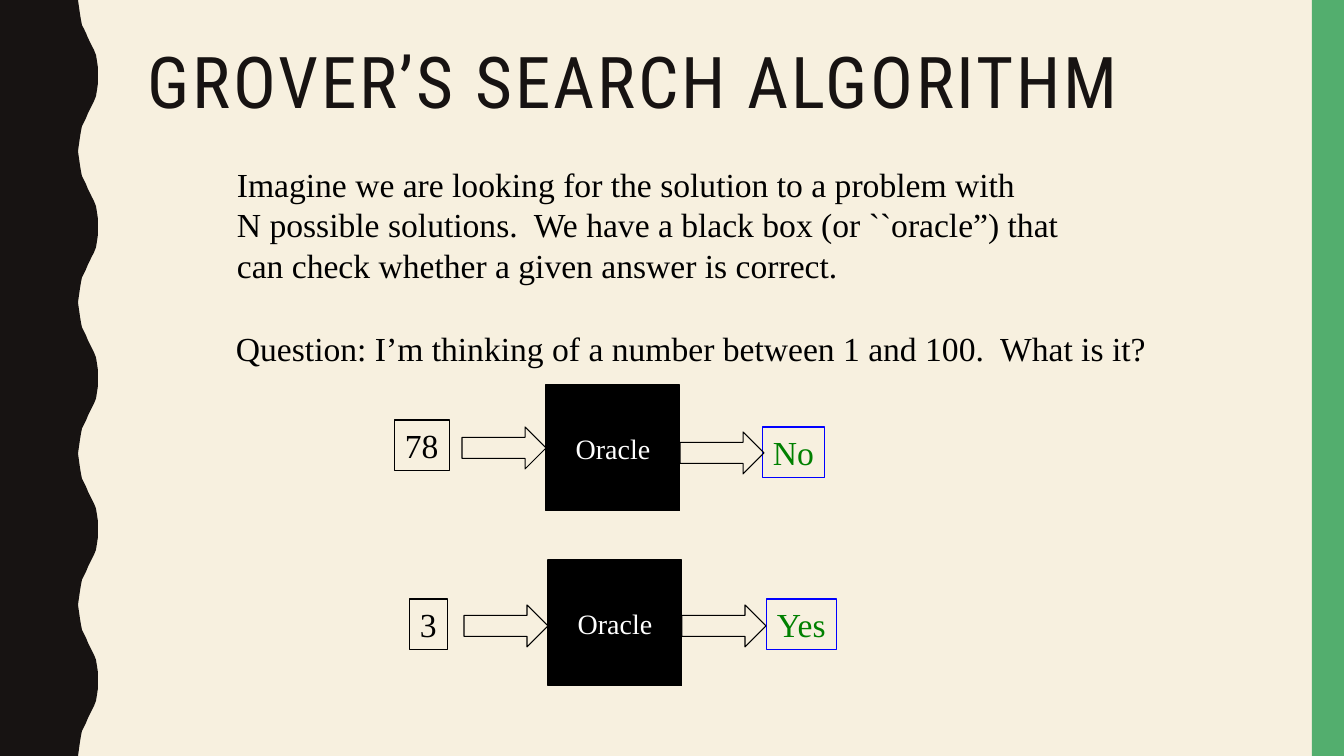
import pptx
import pptx.dml.color
import pptx.enum.shapes
import pptx.enum.text
import pptx.util

EMU_PER_PX = 914400 / 100.8
WIDTH, HEIGHT = 1344, 756
COLORS = {
    "cream": "F7F0DF", "ink": "171312", "green_band": "53AE6E",
    "black": "000000", "white": "FFFFFF", "blue": "0000FF", "answer": "008000",
}
SERIF = "Times New Roman"
SHAPES = pptx.enum.shapes.MSO_SHAPE
WAVE_COUNT = 5
# Right edge of the dark band from a trough to the next crest
HALF_WAVE = [(78, 0), (79, 7), (80, 14), (81, 20), (82, 25), (84, 29), (86, 33),
             (88, 38), (90, 42), (92, 46), (94, 50), (96, 55), (97, 61), (98, 68)]


def px(length):
    return pptx.util.Emu(round(length * EMU_PER_PX))


def rgb(name):
    return pptx.dml.color.RGBColor.from_string(COLORS[name])


def style(shape, fill=None, line=None):
    shape.shadow.inherit = False
    if fill:
        shape.fill.solid()
        shape.fill.fore_color.rgb = rgb(fill)
    else:
        shape.fill.background()
    if line:
        shape.line.color.rgb = rgb(line)
        shape.line.width = pptx.util.Pt(0.75)
    else:
        shape.line.fill.background()


def add_block(slide, kind, box, fill=None, line=None):
    shape = slide.shapes.add_shape(kind, *map(px, box))
    style(shape, fill, line)
    return shape


def write(shape, lines, size, color, font=SERIF, centered=False, wrap=False):
    """Fill a shape with one paragraph per line and return the paragraphs."""
    frame = shape.text_frame
    frame.word_wrap = wrap
    anchors = pptx.enum.text.MSO_ANCHOR
    frame.vertical_anchor = anchors.MIDDLE if centered else anchors.TOP
    alignments = pptx.enum.text.PP_ALIGN
    for index, line in enumerate(lines):
        paragraph = frame.add_paragraph() if index else frame.paragraphs[0]
        paragraph.alignment = alignments.CENTER if centered else alignments.LEFT
        run = paragraph.add_run()
        run.text = line
        run.font.name = font
        run.font.size = pptx.util.Pt(size)
        run.font.color.rgb = rgb(color)
    return frame.paragraphs


def add_background(slide):
    slide.background.fill.solid()
    slide.background.fill.fore_color.rgb = rgb("cream")

    period = HEIGHT / WAVE_COUNT
    crest = (98, period / 2)
    falling = [(x, period - y) for x, y in reversed(HALF_WAVE)]
    wave = HALF_WAVE + [crest] + falling
    edge = [(x, y + period * number) for number in range(WAVE_COUNT) for x, y in wave]
    builder = slide.shapes.build_freeform(0, 0)
    builder.add_line_segments([(px(x), px(y)) for x, y in edge + [(0, HEIGHT)]])
    style(builder.convert_to_shape(), "ink")

    add_block(slide, SHAPES.RECTANGLE, (1312, 0, WIDTH - 1312, HEIGHT), "green_band")


def add_title(slide, box, text):
    title = slide.shapes.add_textbox(*map(px, box))
    paragraph = write(title, [text], 51, "ink", "Roboto Condensed", wrap=True)[0]
    paragraph.line_spacing = 0.9
    paragraph.runs[0].font._element.set("spc", "200")


def add_text(slide, box, lines):
    write(slide.shapes.add_textbox(*map(px, box)), lines, 24, "black")


def add_oracle_query(slide, left, top, guess, guess_box, reply, reply_box, arrow_tops):
    """Draw guess, oracle and reply; boxes are (x, y, width) from the oracle's corner."""
    oracle_width, oracle_height = 134, 126
    arrow_width, arrow_height = 84, 42
    oracle = add_block(slide, SHAPES.RECTANGLE, (left, top, oracle_width, oracle_height),
                       "black", "black")
    write(oracle, ["Oracle"], 20, "white", centered=True)

    for text, (x, y, width), line, color in (
            (guess, guess_box, "black", "black"), (reply, reply_box, "blue", "answer")):
        label = add_block(slide, SHAPES.RECTANGLE, (left + x, top + y, width, 51), line=line)
        write(label, [text], 24, color)

    for x, y in zip((-arrow_width, oracle_width), arrow_tops):
        add_block(slide, SHAPES.RIGHT_ARROW,
                  (left + x, top + y, arrow_width, arrow_height), line="black")


def main():
    presentation = pptx.Presentation()
    presentation.slide_width, presentation.slide_height = px(WIDTH), px(HEIGHT)
    slide = presentation.slides.add_slide(presentation.slide_layouts[6])
    add_background(slide)
    add_title(slide, (138, 42, 1122, 164), "GROVER’S SEARCH ALGORITHM")
    add_text(slide, (227, 159, 858, 132), [
        "Imagine we are looking for the solution to a problem with",
        "N possible solutions.  We have a black box (or ``oracle”) that",
        "can check whether a given answer is correct.",
    ])
    add_text(slide, (226, 323, 930, 50), [
        "Question: I’m thinking of a number between 1 and 100.  What is it?",
    ])
    add_oracle_query(slide, 546, 385, "78", (-151, 35, 55), "No", (217, 42, 62), (42, 47))
    add_oracle_query(slide, 548, 560, "3", (-138, 39, 38), "Yes", (219, 39, 70), (45, 45))
    presentation.save("out.pptx")


if __name__ == "__main__":
    main()
